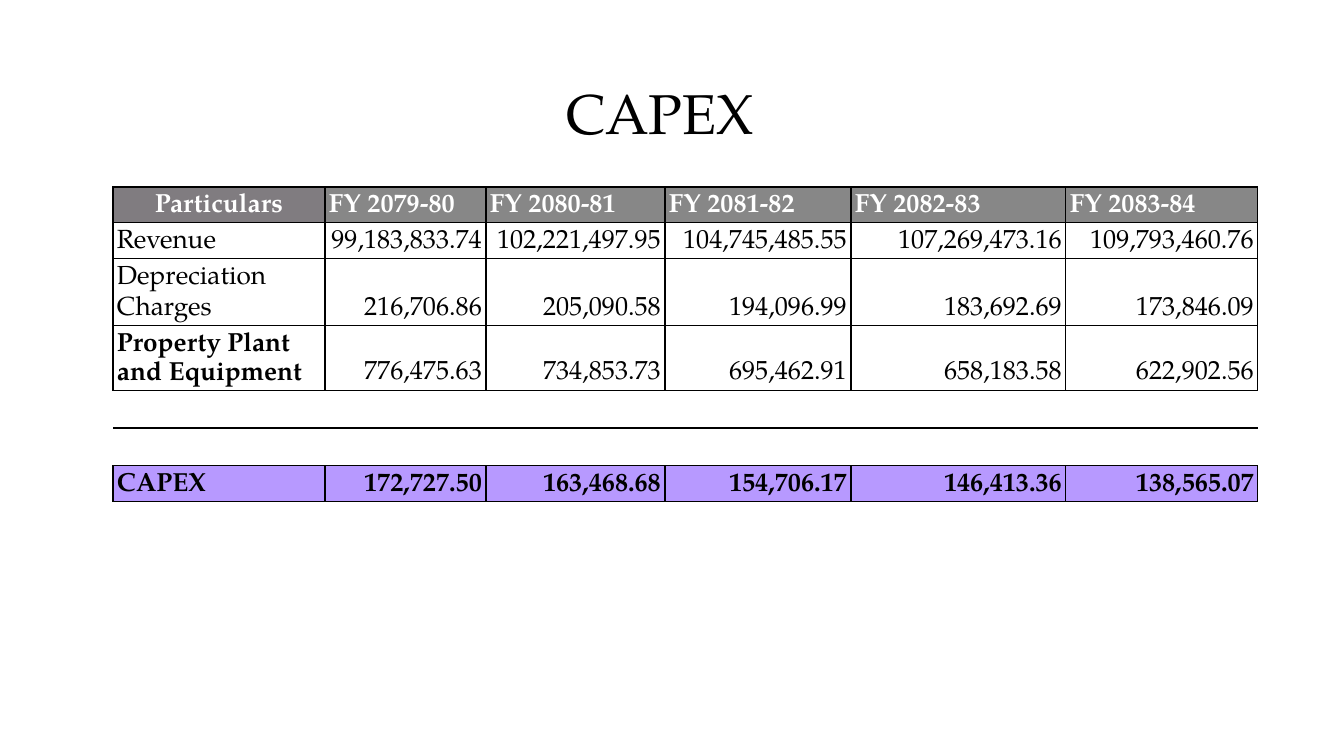
from lxml import etree
from pptx import Presentation
from pptx import util as u
from pptx.dml.color import RGBColor
from pptx.enum import text
from pptx.oxml.ns import qn

SCALE = 914400 / 134.4
FONT = "TeX Gyre Pagella"


def px(length):
    return u.Emu(round(length * SCALE))


def write(frame, words, size=14, bold=False, color="000000", align="l", spacing=1.15, inset=(4, 3)):
    frame.margin_left = frame.margin_right = px(inset[0])
    frame.margin_top = frame.margin_bottom = px(inset[1])
    frame.word_wrap = True
    paragraph = frame.paragraphs[0]
    paragraph.alignment = {"l": text.PP_ALIGN.LEFT, "c": text.PP_ALIGN.CENTER, "r": text.PP_ALIGN.RIGHT}[align]
    paragraph.line_spacing = spacing
    run = paragraph.add_run()
    run.text = words
    run.font.name, run.font.size, run.font.bold = FONT, u.Pt(size), bold
    run.font.color.rgb = RGBColor.from_string(color)


deck = Presentation()
deck.slide_width, deck.slide_height = px(1344), px(756)
slide = deck.slides.add_slide(deck.slide_layouts[5])

title = slide.shapes.title
title.left, title.top, title.width, title.height = px(363), px(66), px(595), px(95)
title.text_frame.vertical_anchor = text.MSO_ANCHOR.TOP
write(title.text_frame, "CAPEX", size=30, align="c", spacing=1.0, inset=(13, 13))

rows = [
    ["Particulars", "FY 2079-80", "FY 2080-81", "FY 2081-82", "FY 2082-83", "FY 2083-84"],
    ["Revenue", "99,183,833.74", "102,221,497.95", "104,745,485.55", "107,269,473.16", "109,793,460.76"],
    ["Depreciation Charges", "216,706.86", "205,090.58", "194,096.99", "183,692.69", "173,846.09"],
    ["Property Plant and Equipment", "776,475.63", "734,853.73", "695,462.91", "658,183.58", "622,902.56"],
    [""] * 6,
    [""] * 6,
    ["CAPEX", "172,727.50", "163,468.68", "154,706.17", "146,413.36", "138,565.07"],
]
column_widths = [212, 161, 179, 186, 215, 192]
row_heights = [35, 36, 66, 64, 37, 37, 35]
fills = {(0, c): "878787" for c in range(1, 6)}
fills.update({(6, c): "B799FF" for c in range(6)})
fills.update({(0, 0): "807C80", (3, 0): "FFFFFF"})

frame = slide.shapes.add_table(7, 6, px(113), px(187), px(sum(column_widths)), px(sum(row_heights)))
capex = frame.table
capex.first_row = capex.horz_banding = False
frame._element.find(".//" + qn("a:tableStyleId")).text = "{2D5ABB26-0587-4C30-8999-92F81FD0307C}"
for column, width in zip(capex.columns, column_widths):
    column.width = px(width)
for row, height in zip(capex.rows, row_heights):
    row.height = px(height)

for r, values in enumerate(rows):
    spacer = not any(values)
    for c, value in enumerate(values):
        cell = capex.cell(r, c)
        cell.margin_left = cell.margin_right = px(4)
        cell.margin_top = cell.margin_bottom = px(3)
        label_on_top = r == 0 or (c == 0 and r < 3)
        cell.vertical_anchor = text.MSO_ANCHOR.TOP if label_on_top else text.MSO_ANCHOR.BOTTOM
        if spacer:
            cell.text_frame.paragraphs[0].font.size = u.Pt(14)
        else:
            align = "c" if r == c == 0 else "l" if r == 0 or c == 0 else "r"
            write(cell.text_frame, value, align=align, bold=r in (0, 6) or (r, c) == (3, 0),
                  color="FFFFFF" if r == 0 else "000000", inset=(4, 3))
        properties = cell._tc.get_or_add_tcPr()
        for side in "LRTB":
            border = etree.SubElement(properties, qn("a:ln" + side), w=str(u.Pt(0.75)))
            if spacer and side in "LR":
                etree.SubElement(border, qn("a:noFill"))
            else:
                ink = etree.SubElement(border, qn("a:solidFill"))
                etree.SubElement(ink, qn("a:srgbClr"), val="000000")
        if (r, c) in fills:
            cell.fill.solid()
            cell.fill.fore_color.rgb = RGBColor.from_string(fills[r, c])
        else:
            cell.fill.background()

deck.save("out.pptx")
